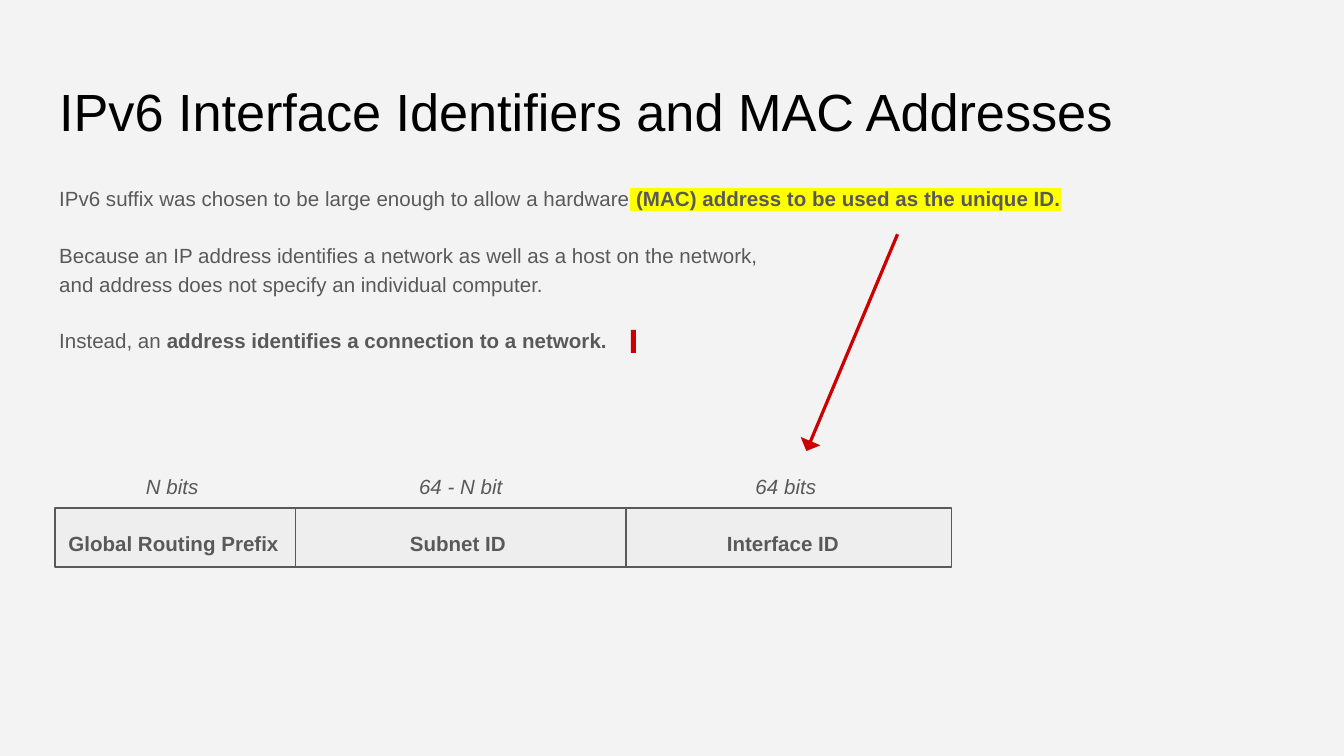
"""Build a slide on IPv6 interface identifiers and MAC addresses."""
from lxml import etree
from pptx import Presentation
from pptx.dml.color import RGBColor
from pptx.enum.shapes import MSO_SHAPE
from pptx.enum.text import MSO_ANCHOR, MSO_AUTO_SIZE, PP_ALIGN
from pptx.oxml.ns import qn
from pptx.util import Pt

RECT, ARROW = MSO_SHAPE.RECTANGLE, MSO_SHAPE.RIGHT_ARROW
LEFT, CENTER = PP_ALIGN.LEFT, PP_ALIGN.CENTER
TOP, NO_FIT = MSO_ANCHOR.TOP, MSO_AUTO_SIZE.NONE
COLORS = {"bg": "F3F3F3", "title": "000000", "text": "595959",
          "cell": "EEEEEE", "mark": "FFFF00", "red": "CC0000"}
LINE = 15.2


def add_text(p, text, size=11, color="text", bold=False, italic=False, mark=None):
    """Append formatted text to a paragraph, with a line break at each newline."""
    for i, line in enumerate(text.split("\n")):
        if i:
            p.add_line_break()
        r = p.add_run()
        r.text = line
        r.font.name, r.font.size = "Arial", Pt(size)
        r.font.bold, r.font.italic = bold, italic
        r.font.color.rgb = RGBColor.from_string(COLORS[color])
        if mark:
            highlight = etree.Element(qn("a:highlight"))
            etree.SubElement(highlight, qn("a:srgbClr"), val=COLORS[mark])
            r.font.fill._xPr.find(qn("a:solidFill")).addnext(highlight)


def place(sp, x, y, w, h):
    """Position a text shape and return its text frame."""
    sp.left, sp.top, sp.width, sp.height = Pt(x), Pt(y), Pt(w), Pt(h)
    tf = sp.text_frame
    tf.word_wrap, tf.auto_size, tf.vertical_anchor = True, NO_FIT, TOP
    tf.margin_left = tf.margin_right = tf.margin_top = tf.margin_bottom = Pt(7.2)
    return tf


prs = Presentation()
prs.slide_width, prs.slide_height = Pt(720), Pt(405)
s = prs.slides.add_slide(prs.slide_layouts[1])
s.background.fill.solid()
s.background.fill.fore_color.rgb = RGBColor.from_string(COLORS["bg"])

p = place(s.shapes.title, 24.5, 35.3, 671, 45.4).paragraphs[0]
p.alignment = LEFT
add_text(p, "IPv6 Interface Identifiers and MAC Addresses", size=28, color="title")

paragraphs = [
    [("IPv6 suffix was chosen to be large enough to allow a hardware", {}),
     (" ", {"mark": "mark"}),
     ("(MAC) address to be used as the unique ID.", {"bold": True, "mark": "mark"})],
    [("Because an IP address identifies a network as well as a host on the network, \n"
      "and address does not specify an individual computer.", {})],
    [("Instead, an ", {}),
     ("address identifies a connection to a network.", {"bold": True})],
]
tf = place(s.placeholders[1], 24.5, 90.7, 659.5, 269.3)
for i, runs in enumerate(paragraphs):
    p = tf.add_paragraph() if i else tf.paragraphs[0]
    p.line_spacing, p.space_before = Pt(LINE), Pt(LINE if i else 0)
    pPr = p._p.get_or_add_pPr()
    pPr.set("marL", "0")
    pPr.set("indent", "0")
    etree.SubElement(pPr, qn("a:buNone"))
    for text, style in runs:
        add_text(p, text, **style)

fields = [
    ("Global Routing Prefix ", "N bits ", 29.5, 131, 128.5, LEFT),
    ("Interface ID ", "64 bits", 332.5, 177.3, 177, CENTER),
    ("Subnet ID ", "64 - N bit", 158.4, 177, 177, CENTER),
]
for name, bits, x, w, label_w, align in fields:
    cell = s.shapes.add_shape(RECT, Pt(x), Pt(272.2), Pt(w), Pt(31.7))
    cell.shadow.inherit = False
    cell.fill.solid()
    cell.fill.fore_color.rgb = RGBColor.from_string(COLORS["cell"])
    cell.line.color.rgb = RGBColor.from_string(COLORS["text"])
    cell.line.width = Pt(0.75)
    for text, y, style, side in ((bits, 244.8, {"italic": True}, CENTER),
                                 (name, 275.4, {"bold": True}, align)):
        p = place(s.shapes.add_textbox(0, 0, 0, 0), x, y, label_w, 20.2).paragraphs[0]
        p.alignment, p.line_spacing = side, Pt(LINE)
        add_text(p, text, **style)

for kind, x, y, w, h, angle in ((RECT, 338, 176.8, 2.7, 12.3, 0),
                                (ARROW, 393.4, 177.8, 126, 11.5, 112.8)):
    sp = s.shapes.add_shape(kind, Pt(x), Pt(y), Pt(w), Pt(h))
    sp.shadow.inherit = False
    sp.rotation = angle
    sp.fill.solid()
    sp.fill.fore_color.rgb = RGBColor.from_string(COLORS["red"])
    sp.line.fill.background()
    if kind == ARROW:
        sp.adjustments[0] = 0.15

prs.save("out.pptx")
